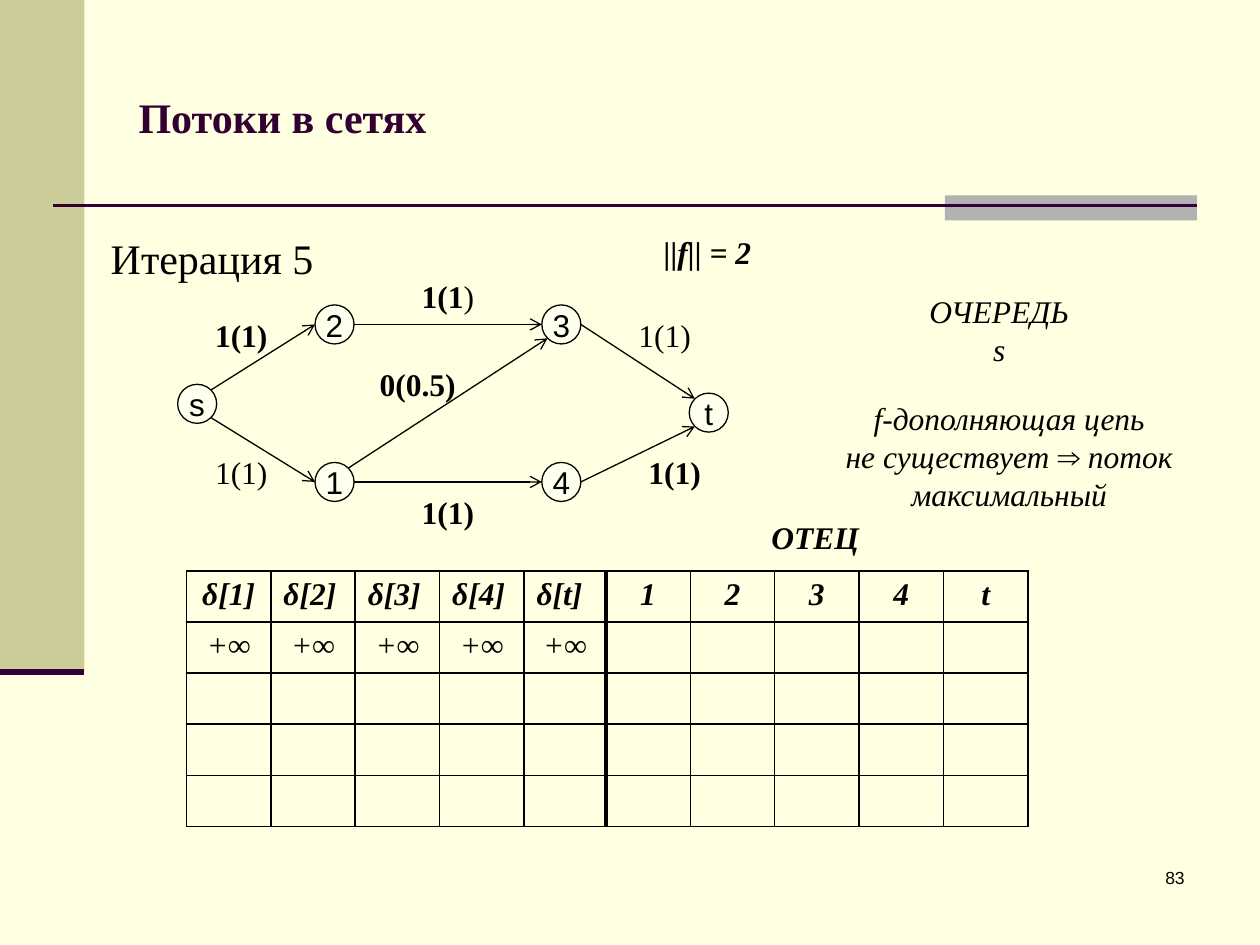
from lxml import etree
from pptx import Presentation
from pptx import util as u
from pptx.dml.color import RGBColor
from pptx.enum import shapes, text
from pptx.oxml.ns import qn

SERIF, SANS = "Times New Roman", "Arial"
BLACK, PLUM, CREAM, IVORY = "000000", "330033", "FFFFE1", "FFFFEE"
OLIVE, GRAY = "CCCC99", "B2B2B2"
LEFT, CENTER, RIGHT = text.PP_ALIGN.LEFT, text.PP_ALIGN.CENTER, text.PP_ALIGN.RIGHT

NODE_SIZE = 0.31
NODES = {"s": (1.41, 3.05), "2": (2.5, 2.42), "t": (5.47, 3.12),
         "4": (4.3, 3.67), "3": (4.3, 2.42), "1": (2.5, 3.67)}
DIAGONAL = 0.71
COMPASS = {"E": (1, 0), "W": (-1, 0),
           "NE": (DIAGONAL, -DIAGONAL), "NW": (-DIAGONAL, -DIAGONAL),
           "SE": (DIAGONAL, DIAGONAL), "SW": (-DIAGONAL, DIAGONAL)}
EDGES = [("s", "NE", "2", "W"), ("2", "E", "3", "W"), ("s", "SE", "1", "W"),
         ("1", "E", "4", "W"), ("3", "E", "t", "NW"), ("4", "E", "t", "SW"),
         ("1", "NE", "3", "SW")]
FLOWS = [("1(1)", 1.72, 2.5, True), ("1(1)", 1.72, 3.59, False),
         ("0(0.5)", 3.12, 2.89, True), ("1(1)", 5.08, 2.5, False),
         ("1(1)", 5.16, 3.59, True), ("1(1)", 3.36, 3.91, True)]

HEADINGS = ["δ[1]", "δ[2]", "δ[3]", "δ[4]", "δ[t]", "1", "2", "3", "4", "t"]
DELTAS = 5
ROWS = 5


def color(value):
    return RGBColor.from_string(value)


def rim_point(node, direction):
    """Point where an edge meets the circle of a node."""
    radius = NODE_SIZE / 2
    return tuple(corner + radius + radius * step
                 for corner, step in zip(NODES[node], COMPASS[direction]))


class SlideBuilder:
    def __init__(self, slide):
        self.slide = slide
        slide.background.fill.solid()
        slide.background.fill.fore_color.rgb = color(CREAM)

    def set_text(self, frame, lines, size=18, font=SERIF, ink=BLACK,
                 bold=False, italic=False, align=CENTER):
        frame.text = "\n".join(lines)
        for paragraph in frame.paragraphs:
            paragraph.alignment = align
            paragraph.font.size = u.Pt(size)
            paragraph.font.name = font
            paragraph.font.color.rgb = color(ink)
            paragraph.font.bold = bold
            paragraph.font.italic = italic

    def title(self, words, left, top, width, height):
        title = self.slide.shapes.title
        title.left, title.top = u.Inches(left), u.Inches(top)
        title.width, title.height = u.Inches(width), u.Inches(height)
        title.text_frame.vertical_anchor = text.MSO_ANCHOR.MIDDLE
        self.set_text(title.text_frame, [words], size=24, ink=PLUM, bold=True, align=LEFT)

    def note(self, lines, left, top, width, height, wrap=False, **style):
        box = self.slide.shapes.add_textbox(
            u.Inches(left), u.Inches(top), u.Inches(width), u.Inches(height))
        box.text_frame.word_wrap = wrap
        self.set_text(box.text_frame, lines, **style)

    def shape(self, left, top, width, height, fill, outline=None,
              kind=shapes.MSO_SHAPE.RECTANGLE):
        shape = self.slide.shapes.add_shape(
            kind, u.Inches(left), u.Inches(top), u.Inches(width), u.Inches(height))
        shape.shadow.inherit = False
        shape.fill.solid()
        shape.fill.fore_color.rgb = color(fill)
        if outline:
            shape.line.color.rgb = color(outline)
            shape.line.width = u.Pt(0.75)
        else:
            shape.line.fill.background()
        shape.text_frame.word_wrap = False
        shape.text_frame.vertical_anchor = text.MSO_ANCHOR.MIDDLE
        return shape

    def node(self, name):
        circle = self.shape(*NODES[name], NODE_SIZE, NODE_SIZE, IVORY, BLACK,
                            shapes.MSO_SHAPE.FLOWCHART_CONNECTOR)
        self.set_text(circle.text_frame, [name], font=SANS)

    def flow(self, value, left, top, bold):
        label = self.shape(left, top, 0.39, 0.31, CREAM)
        self.set_text(label.text_frame, [value], bold=bold)
        return label

    def line(self, start, end, ink=BLACK, weight=0.75, arrow=False):
        line = self.slide.shapes.add_connector(
            shapes.MSO_CONNECTOR.STRAIGHT, *map(u.Inches, (*start, *end)))
        line.line.color.rgb = color(ink)
        line.line.width = u.Pt(weight)
        properties = line._element.spPr
        if arrow:
            etree.SubElement(properties.find(qn("a:ln")), qn("a:tailEnd"), type="arrow")
        etree.SubElement(properties, qn("a:effectLst"))

    def cell(self, cell, words, borders, **style):
        """Fill one cell; borders maps a side (L, R, T, B) to points."""
        properties = cell._tc.get_or_add_tcPr()
        for side, weight in borders.items():
            border = etree.SubElement(properties, qn(f"a:ln{side}"), w=str(u.Pt(weight)))
            paint = etree.SubElement(border, qn("a:solidFill"))
            etree.SubElement(paint, qn("a:srgbClr"), val=BLACK)
        cell.fill.solid()
        cell.fill.fore_color.rgb = color(CREAM)
        self.set_text(cell.text_frame, [words], italic=True, **style)

    def label_table(self, left, top, width, height):
        table = self.slide.shapes.add_table(
            ROWS, len(HEADINGS), u.Inches(left), u.Inches(top),
            u.Inches(width), u.Inches(height)).table
        table.first_row = table.horz_banding = False
        for row in table.rows:
            row.height = u.Inches(height / ROWS)
        for column in table.columns:
            column.width = u.Inches(0.67)
        table.columns[DELTAS - 1].width = u.Inches(0.65)
        distances = ["+∞"] * DELTAS
        for r in range(ROWS):
            words = (HEADINGS, distances)[r] if r < 2 else []
            for c in range(len(HEADINGS)):
                borders = {"L": 3 if c == DELTAS else 1,
                           "R": 3 if c == DELTAS - 1 else 1, "T": 1, "B": 1}
                align = LEFT if r == 0 and 0 < c < DELTAS else CENTER
                self.cell(table.cell(r, c), words[c] if c < len(words) else "",
                          borders, bold=r == 0, align=align)


def main():
    deck = Presentation()
    deck.slide_width, deck.slide_height = u.Inches(10), u.Inches(7.5)
    page = SlideBuilder(deck.slides.add_slide(deck.slide_layouts[5]))

    page.shape(0, 0, 0.67, 5.33, OLIVE)
    page.shape(7.5, 1.55, 2, 0.2, GRAY)
    page.line((0.42, 1.63), (9.5, 1.63), PLUM, 1.5)
    page.line((0, 5.33), (0.67, 5.33), PLUM, 3.5)
    page.title("Потоки в сетях", 1, 0.3, 8.5, 1.25)
    page.note(["83"], 7.42, 6.83, 2.08, 0.5, wrap=True, size=10, font=SANS, align=RIGHT)
    page.note(["Итерация 5"], 0.78, 1.8, 1.95, 0.5, wrap=True, size=24, align=LEFT)

    for name in NODES:
        page.node(name)
    for source, leaving, target, entering in EDGES:
        page.line(rim_point(source, leaving), rim_point(target, entering), arrow=True)
    for flow in FLOWS:
        page.flow(*flow)
    top_flow = page.flow("1(1", 3.36, 2.19, True)
    bracket = top_flow.text_frame.paragraphs[0].add_run()
    bracket.text = ")"
    bracket.font.bold = False

    page.label_table(1.48, 4.53, 6.68, 2.03)
    page.note(["ОТЕЦ"], 6.02, 4.06, 0.9, 0.4, bold=True, italic=True)
    page.note(["ОЧЕРЕДЬ", "s"], 7.27, 2.27, 1.32, 0.71, italic=True)
    page.note(["f-дополняющая цепь", "не существует ⇒ поток максимальный"],
              6.48, 3.12, 3.06, 1.01, wrap=True, italic=True)
    page.note(["||f|| = 2"], 5.16, 1.8, 0.91, 0.4, bold=True, italic=True)

    deck.save("out.pptx")


if __name__ == "__main__":
    main()
